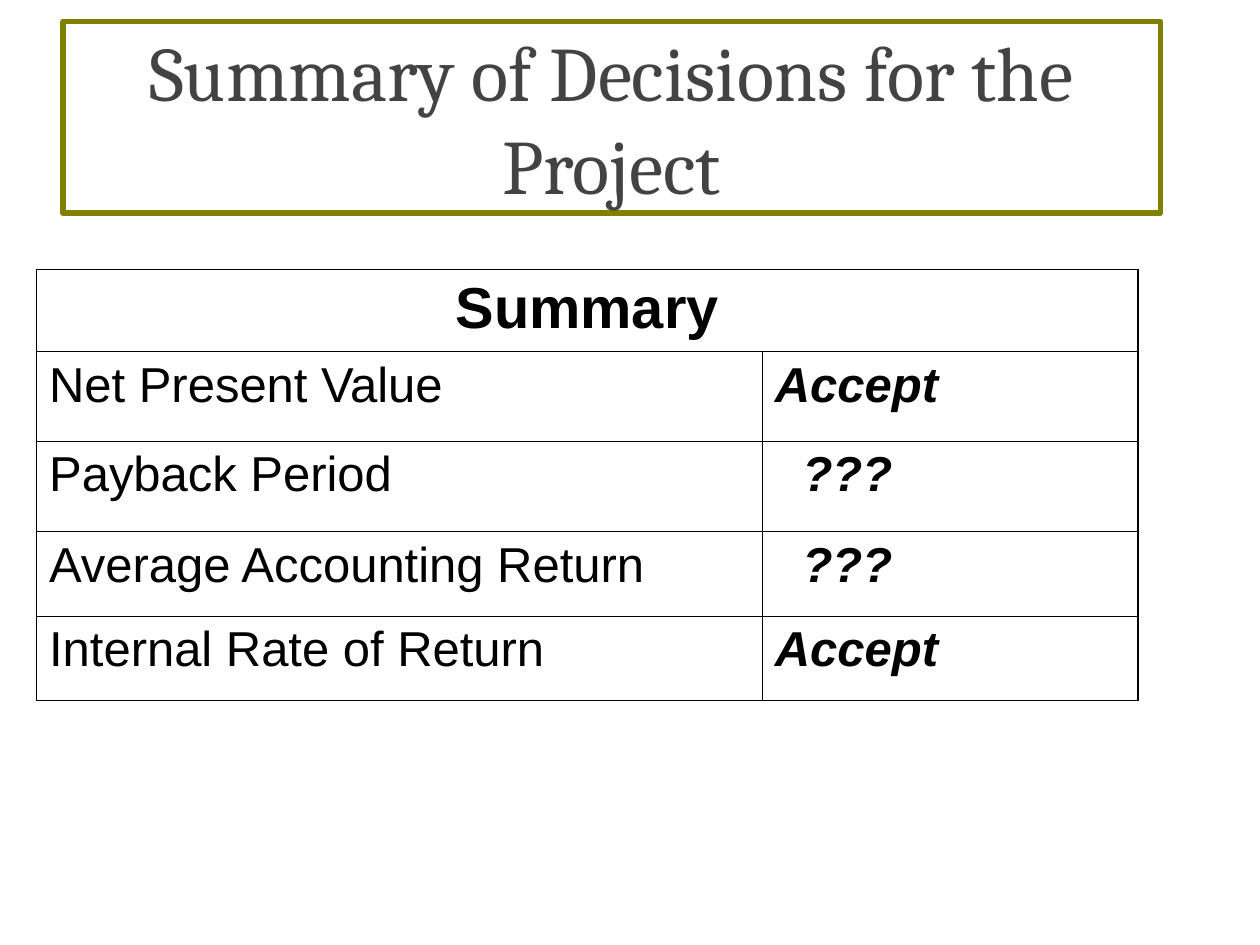
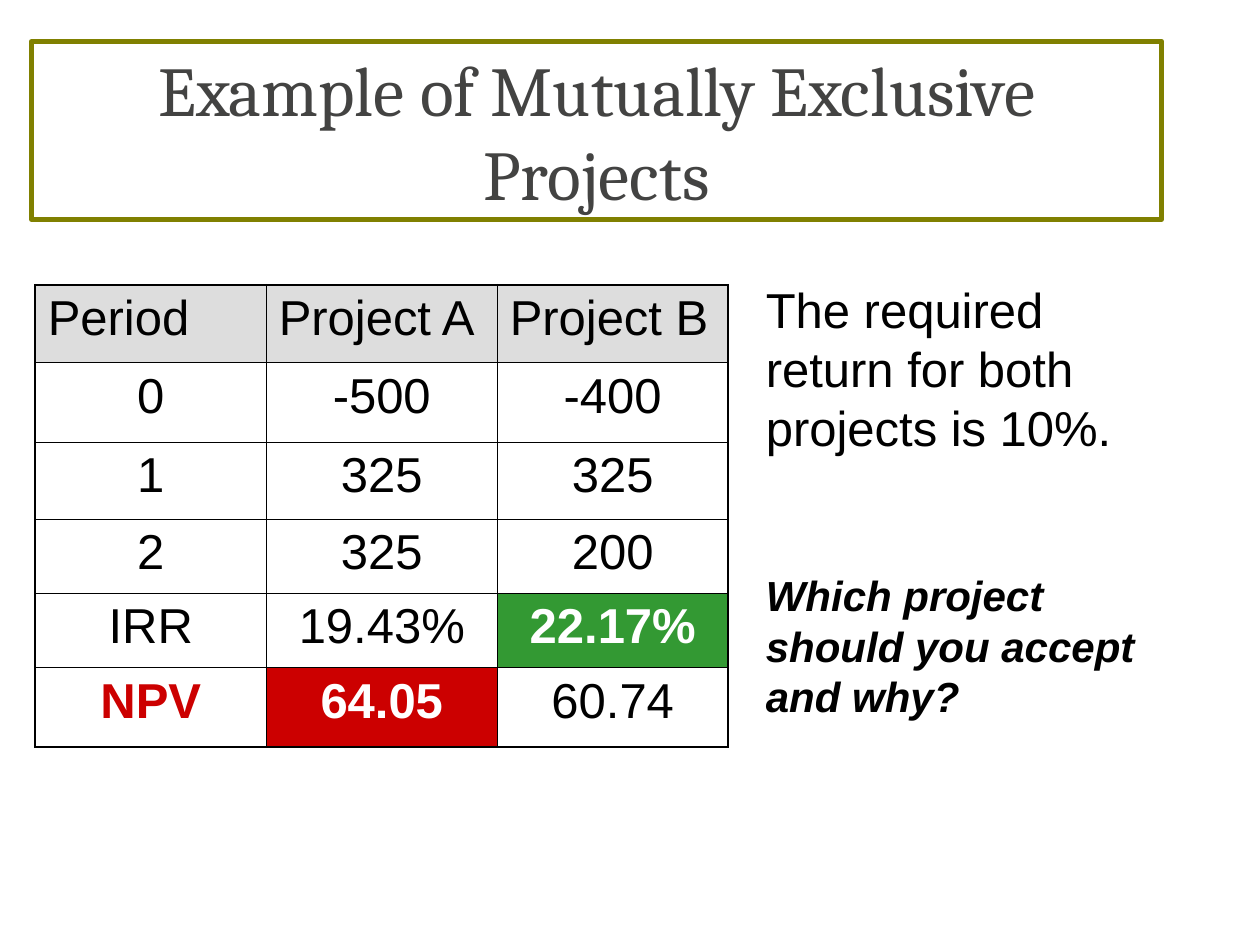
from dataclasses import dataclass

from lxml import etree
from pptx import Presentation
from pptx import util as u
from pptx.dml.color import RGBColor
from pptx.enum import shapes, text
from pptx.oxml.ns import qn

WIDTH, HEIGHT = u.Inches(10), u.Inches(7.5)
COLORS = {
    "frame": "808000", "title": "434342", "ink": "000000", "white": "FFFFFF",
    "header": "DDDDDD", "irr": "339933", "npv": "CC0000",
}
TITLE_FONT, BODY_FONT = "Cambria", "Arial"
OUTER_LINE, INNER_LINE = 1.08, 0.45
LEFT, CENTER = text.PP_ALIGN.LEFT, text.PP_ALIGN.CENTER


@dataclass
class Entry:
    """Content and look of one table cell."""
    words: str
    size: float = 28
    color: str = "ink"
    bold: bool = False
    italic: bool = False
    align: text.PP_ALIGN = LEFT
    fill: str = ""
    indent: float = 0


def rgb(name):
    return RGBColor.from_string(COLORS[name])


def frame(left, top, width, height):
    """Turn percentages of the slide into a position and size."""
    return [round(share * side / 100) for share, side in
            zip((left, top, width, height), (WIDTH, HEIGHT) * 2)]


def split(total, parts):
    return [round(total * part / sum(parts)) for part in parts]


def write(paragraph, words, size, color="ink", font=BODY_FONT,
          bold=False, italic=False, align=LEFT, before=0):
    paragraph.alignment = align
    paragraph.space_before = u.Pt(before)
    run = paragraph.add_run()
    run.text = words
    run.font.name, run.font.size = font, u.Pt(size)
    run.font.bold, run.font.italic = bold, italic
    run.font.color.rgb = rgb(color)


def add_title(slide, place, words, size):
    banner = slide.shapes.add_shape(shapes.MSO_SHAPE.RECTANGLE, *place)
    banner.shadow.inherit = False
    banner.fill.background()
    banner.line.color.rgb = rgb("frame")
    banner.line.width = u.Pt(3)
    banner.text_frame.word_wrap = True
    banner.text_frame.vertical_anchor = text.MSO_ANCHOR.MIDDLE
    write(banner.text_frame.paragraphs[0], words, size, "title", TITLE_FONT, align=CENTER)


def add_border(cell, side, points):
    line = etree.SubElement(cell._tc.get_or_add_tcPr(), qn(f"a:ln{side}"),
                            w=str(u.Pt(points)))
    solid = etree.SubElement(line, qn("a:solidFill"))
    etree.SubElement(solid, qn("a:srgbClr"), val=COLORS["ink"])


def fill_cell(cell, entry):
    if entry.fill:
        cell.fill.solid()
        cell.fill.fore_color.rgb = rgb(entry.fill)
    else:
        cell.fill.background()
    cell.margin_left = u.Inches(0.1 + entry.indent)
    write(cell.text_frame.paragraphs[0], entry.words, entry.size, entry.color,
          bold=entry.bold, italic=entry.italic, align=entry.align,
          before=entry.size / 4)


def add_grid(slide, place, column_parts, row_parts, entries):
    """Draw a table with a heavy outline; a one-entry row spans all columns."""
    row_count, column_count = len(row_parts), len(column_parts)
    table = slide.shapes.add_table(row_count, column_count, *place).table
    table.first_row = table.horz_banding = False
    for column, width in zip(table.columns, split(place[2], column_parts)):
        column.width = width
    for row, height in zip(table.rows, split(place[3], row_parts)):
        row.height = height
    for r, row_entries in enumerate(entries):
        spans = len(row_entries) == 1
        if spans:
            table.cell(r, 0).merge(table.cell(r, column_count - 1))
        for c in range(column_count):
            cell = table.cell(r, c)
            on_edge = {
                "L": spans or c == 0, "R": spans or c == column_count - 1,
                "T": r == 0, "B": r == row_count - 1,
            }
            for side, outer in on_edge.items():
                add_border(cell, side, OUTER_LINE if outer else INNER_LINE)
        for c, entry in enumerate(row_entries):
            fill_cell(table.cell(r, c), entry)


def add_remarks(slide, place, remarks):
    """Stack paragraphs given as (words, style) pairs."""
    body = slide.shapes.add_textbox(*place).text_frame
    body.word_wrap = True
    for index, (words, style) in enumerate(remarks):
        paragraph = body.add_paragraph() if index else body.paragraphs[0]
        write(paragraph, words, **style)


def build_decisions(slide):
    add_title(slide, frame(5, 2.27, 87.1, 20.27), "Summary of Decisions for the Project", 44)
    verdicts = {
        "Net Present Value": "Accept",
        "Payback Period": "???",
        "Average Accounting Return": "???",
        "Internal Rate of Return": "Accept",
    }
    entries = [[Entry("Summary", 33, bold=True, align=CENTER)]]
    for rule, verdict in verdicts.items():
        indent = 0.22 if verdict == "???" else 0
        entries.append([Entry(rule), Entry(verdict, bold=True, italic=True, indent=indent)])
    add_grid(slide, frame(2.9, 28.53, 87.4, 45.6), (576, 298), (65, 71, 72, 67, 67), entries)


def build_exclusive_projects(slide):
    add_title(slide, frame(2.5, 4.4, 89.7, 18.8), "Example of Mutually Exclusive Projects", 40)
    figures = [
        ("0", "-500", "-400"),
        ("1", "325", "325"),
        ("2", "325", "200"),
        ("IRR", "19.43%", "22.17%"),
        ("NPV", "64.05", "60.74"),
    ]
    highlights = {
        "22.17%": dict(color="white", bold=True, fill="irr"),
        "NPV": dict(color="npv", bold=True),
        "64.05": dict(color="white", bold=True, fill="npv"),
    }
    entries = [[Entry(head, fill="header") for head in ("Period", "Project A", "Project B")]]
    entries += [[Entry(figure, align=CENTER, **highlights.get(figure, {})) for figure in row]
                for row in figures]
    add_grid(slide, frame(2.8, 30.13, 55, 48.93), (1, 1, 1), (62, 63, 61, 59, 59, 63), entries)
    add_remarks(slide, frame(59.8, 28.93, 32.5, 48.27), [
        ("The required return for both projects is 10%.", dict(size=28, before=17.5)),
        ("Which project should you accept and why?",
         dict(size=24, bold=True, italic=True, before=65)),
    ])


def main():
    deck = Presentation()
    deck.slide_width, deck.slide_height = WIDTH, HEIGHT
    for build in (build_decisions, build_exclusive_projects):
        build(deck.slides.add_slide(deck.slide_layouts[6]))
    deck.save("out.pptx")


if __name__ == "__main__":
    main()
